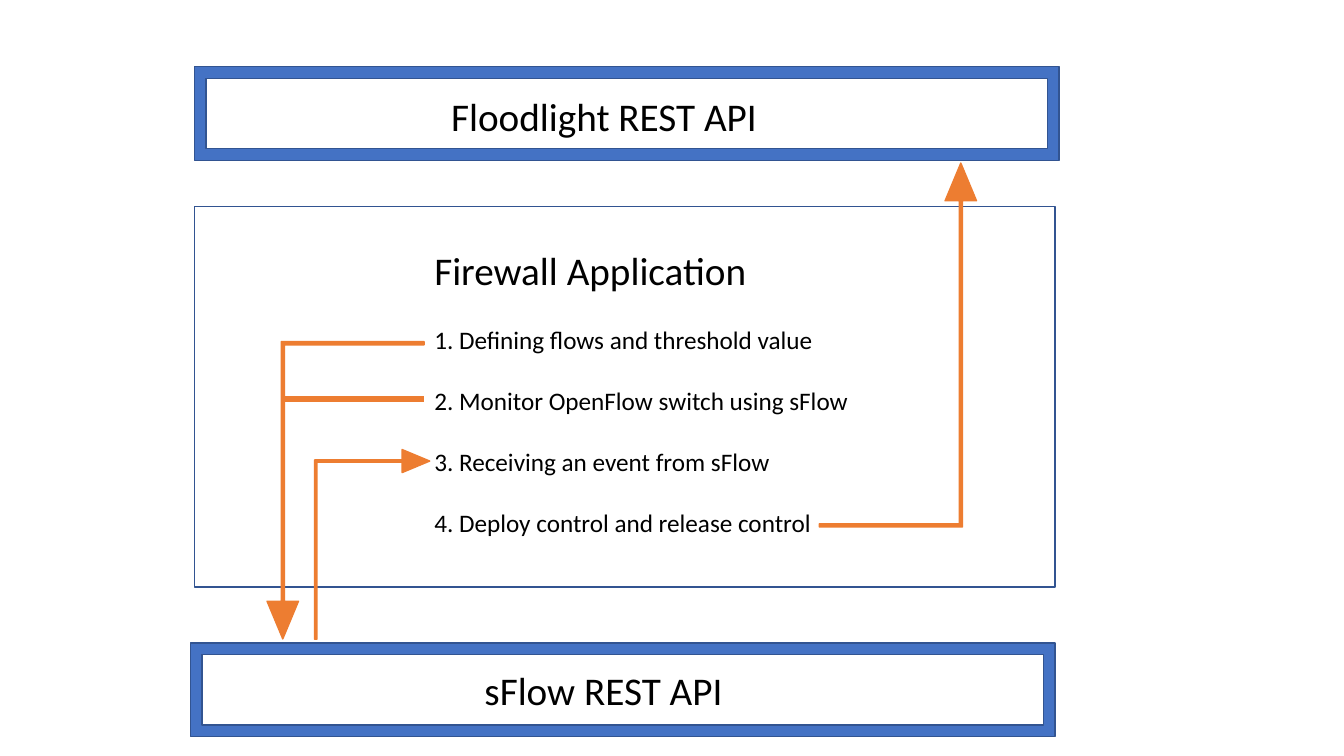
from lxml.etree import SubElement
from pptx import Presentation
from pptx.dml.color import RGBColor
from pptx.enum.shapes import MSO_CONNECTOR as CONN, MSO_SHAPE as SHAPE
from pptx.enum.text import MSO_ANCHOR as ANCHOR, MSO_AUTO_SIZE as AUTO, PP_ALIGN as ALIGN
from pptx.oxml.ns import qn
from pptx.util import Cm, Pt

BLUE, NAVY, ORANGE, BLACK = "4472C4", "325491", "ED7D31", "000000"
STEPS = [
    "1. Defining flows and threshold value",
    "2. Monitor OpenFlow switch using sFlow",
    "3. Receiving an event from sFlow",
    "4. Deploy control and release control",
]


def rgb(value):
    return RGBColor.from_string(value)


def set_all(target, values):
    for name, value in values.items():
        setattr(target, name, value)


def place(sp, x, y, w, h):
    set_all(sp, dict(left=Cm(x), top=Cm(y), width=Cm(w), height=Cm(h)))


def write(sp, lines, size, wrap=True, gap=0):
    """Fill a text frame with plain left-aligned lines, gap points apart."""
    tf = sp.text_frame
    set_all(tf, dict(word_wrap=wrap, auto_size=AUTO.NONE, vertical_anchor=ANCHOR.TOP))
    for i, line in enumerate(lines):
        p = tf.paragraphs[0] if i == 0 else tf.add_paragraph()
        pPr = p._p.get_or_add_pPr()
        for name in ("marL", "indent"):
            pPr.set(name, "0")
        SubElement(pPr, qn("a:buNone"))
        set_all(p, dict(alignment=ALIGN.LEFT, line_spacing=1.0,
                        space_before=Pt(gap if i else 0), space_after=Pt(0)))
        r = p.add_run()
        r.text = line
        set_all(r.font, dict(name="Calibri", size=Pt(size)))
        r.font.color.rgb = rgb(BLACK)


def add_shape(s, kind, box, fill, line):
    sp = s.shapes.add_shape(kind, *map(Cm, box))
    sp.shadow.inherit = False
    if fill:
        sp.fill.solid()
        sp.fill.fore_color.rgb = rgb(fill)
    else:
        sp.fill.background()
    sp.line.color.rgb = rgb(line)
    sp.line.width = Pt(1)
    return sp


def api_bar(s, x, y, label, dx, dy, w):
    """Framed bar with its label offset by dx, dy."""
    add_shape(s, SHAPE.FRAME, (x, y, 21.79, 2.36), BLUE, NAVY)
    tb = s.shapes.add_textbox(Cm(x + dx), Cm(y + dy), Cm(w), Cm(1.45))
    write(tb, [label], 28, wrap=False)


def firewall_panel(s, x, y, w, h):
    """Outlined panel with heading and numbered steps."""
    add_shape(s, SHAPE.RECTANGLE, (x, y, w, h), None, NAVY)
    title, body = s.shapes.title, s.placeholders[1]
    place(title, x + 5.79, y + 0.86, 15.5, 1.46)
    write(title, ["Firewall Application"], 28)
    place(body, x + 5.79, y + 2.84, 15.5, 5.7)
    write(body, STEPS, 18, gap=22)


def bent_arrow(s, box, rotation=0, flip=False):
    sp = add_shape(s, SHAPE.BENT_UP_ARROW, box, ORANGE, ORANGE)
    for i, value in enumerate((0.02, 0.1, 0.24)):
        sp.adjustments[i] = value
    sp.rotation = rotation
    if flip:
        sp._element.spPr.find(qn("a:xfrm")).set("flipV", "1")


def flow_arrows(s, x, y):
    """Arrows between the steps and the two APIs, relative to the panel corner."""
    # Steps 1 and 2 down to sFlow
    bent_arrow(s, (x + 1.83, y + 3.4, 3.96, 7.49), rotation=180)
    cn = s.shapes.add_connector(CONN.STRAIGHT, Cm(x + 2.24), Cm(y + 4.85),
                                Cm(x + 5.79), Cm(y + 4.85))
    cn.line.color.rgb = rgb(ORANGE)
    cn.line.width = Pt(4)
    SubElement(cn._element.spPr, qn("a:effectLst"))
    # Step 4 up to Floodlight
    bent_arrow(s, (x + 15.75, y - 1.1, 3.96, 9.17))
    # sFlow event into step 3
    bent_arrow(s, (x + 2.09, y + 7.06, 4.78, 2.9), rotation=270, flip=True)


def main():
    prs = Presentation()
    set_all(prs, dict(slide_width=Cm(33.87), slide_height=Cm(19.05)))
    s = prs.slides.add_slide(prs.slide_layouts[1])
    api_bar(s, 4.9, 1.68, "Floodlight REST API", 6.22, 0.53, 8.31)
    api_bar(s, 4.8, 16.2, "sFlow REST API", 7.16, 0.46, 6.58)
    firewall_panel(s, 4.9, 5.21, 21.69, 9.58)
    flow_arrows(s, 4.9, 5.21)
    prs.save("out.pptx")


if __name__ == "__main__":
    main()
